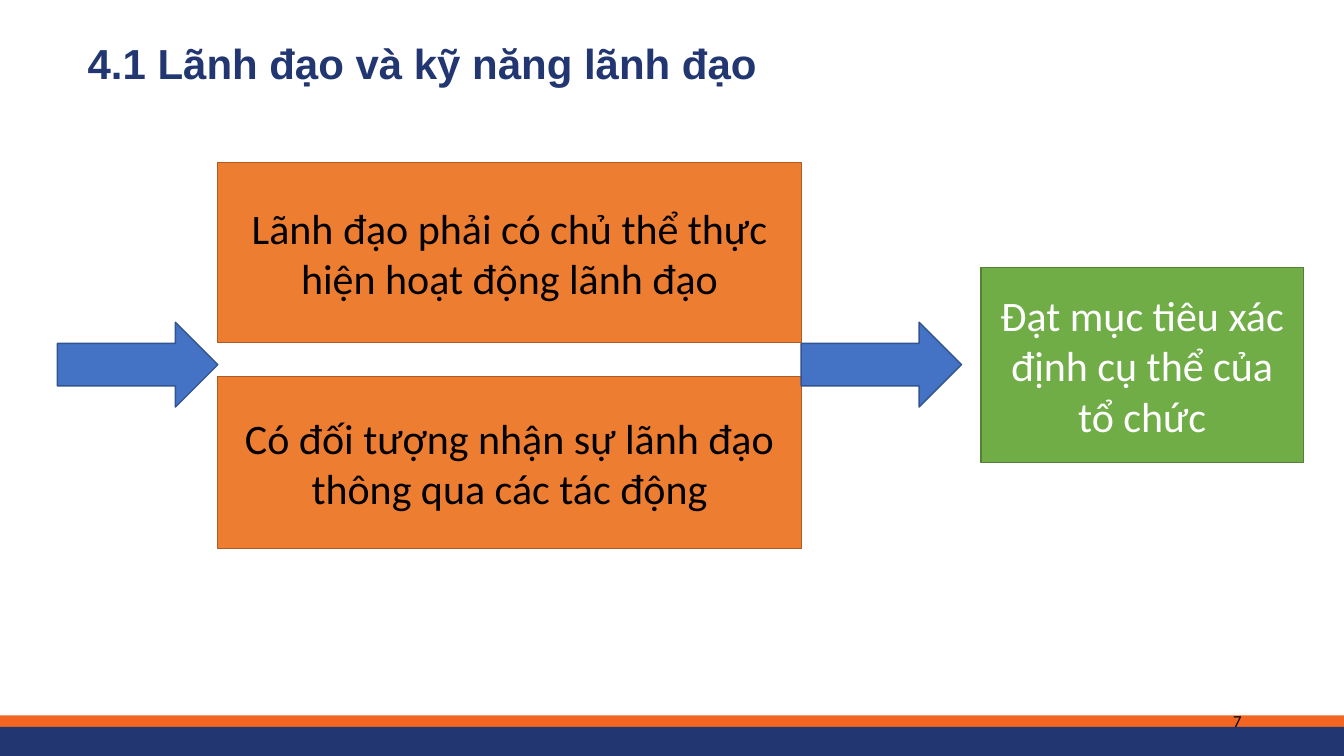
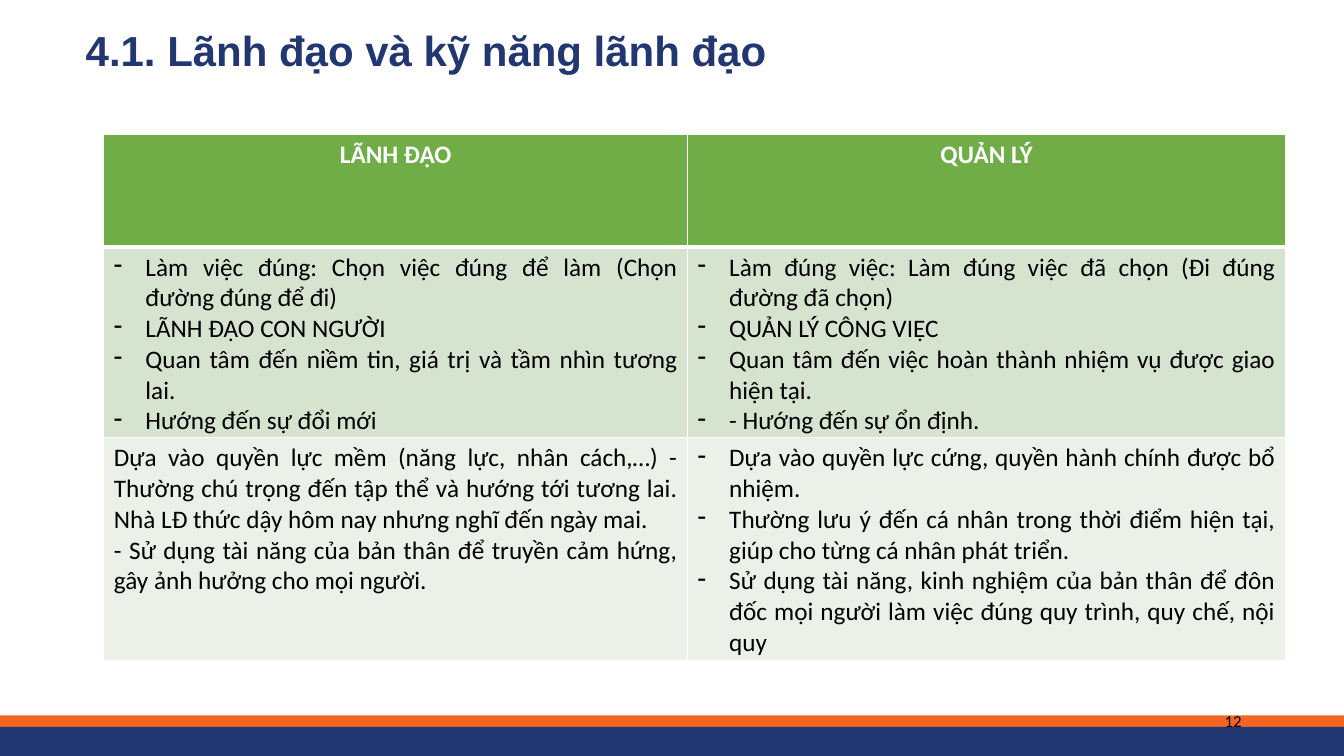
"""Build two slides on leadership: a flow diagram and a comparison table."""
from lxml import etree
from pptx import Presentation
from pptx.dml.color import RGBColor
from pptx.enum import shapes, text
from pptx.oxml import ns
from pptx.util import Pt

NAVY = RGBColor(0x22, 0x37, 0x71)
BAND_ORANGE = RGBColor(0xF2, 0x65, 0x22)
ORANGE = RGBColor(0xED, 0x7D, 0x31)
DARK_ORANGE = RGBColor(0xAF, 0x5C, 0x24)
BLUE = RGBColor(0x44, 0x72, 0xC4)
DARK_BLUE = RGBColor(0x32, 0x54, 0x91)
GREEN = RGBColor(0x70, 0xAD, 0x47)
DARK_GREEN = RGBColor(0x53, 0x80, 0x35)
PALE_GREEN = RGBColor(0xD5, 0xE3, 0xCF)
PALEST_GREEN = RGBColor(0xEB, 0xF1, 0xE9)
WHITE = RGBColor(0xFF, 0xFF, 0xFF)
BLACK = RGBColor(0, 0, 0)
RECTANGLE = shapes.MSO_SHAPE.RECTANGLE
ARROW = shapes.MSO_SHAPE.RIGHT_ARROW
ALIGN = text.PP_ALIGN


def style(paragraph, size, color, alignment, bold=False, name="Calibri"):
    paragraph.alignment = alignment
    font = paragraph.font
    font.name, font.size, font.bold = name, Pt(size), bold
    font.color.rgb = color


def add_block(slide, kind, box, fill, line=None):
    shape = slide.shapes.add_shape(kind, *map(Pt, box))
    shape.shadow.inherit = False
    shape.fill.solid()
    shape.fill.fore_color.rgb = fill
    if line is None:
        shape.line.fill.background()
    else:
        shape.line.color.rgb = line
        shape.line.width = Pt(1)
    return shape


presentation = Presentation()
presentation.slide_width, presentation.slide_height = Pt(960), Pt(540)
layout = presentation.slide_layouts[5]

slides = []
for title_text, title_box, number in (
    ("4.1 Lãnh đạo và kỹ năng lãnh đạo", (55.4, 27.4, 635, 72.7), "7"),
    ("4.1. Lãnh đạo và kỹ năng lãnh đạo", (54, 18, 551.5, 72.7), "12"),
):
    slide = presentation.slides.add_slide(layout)
    slides.append(slide)
    title = slide.shapes.title
    title.left, title.top, title.width, title.height = map(Pt, title_box)
    title.text_frame.text = title_text
    title.text_frame.vertical_anchor = text.MSO_ANCHOR.TOP
    title.text_frame.auto_size = text.MSO_AUTO_SIZE.NONE
    paragraph = title.text_frame.paragraphs[0]
    paragraph.line_spacing = 0.9
    style(paragraph, 30, NAVY, ALIGN.LEFT, True, "Arial")

    number_box = slide.shapes.add_textbox(Pt(678), Pt(500.5), Pt(216), Pt(28.8))
    number_box.text_frame.word_wrap = True
    number_box.text_frame.vertical_anchor = text.MSO_ANCHOR.MIDDLE
    number_box.text_frame.text = number
    style(number_box.text_frame.paragraphs[0], 12, BLACK, ALIGN.RIGHT)

flow, comparison = slides

for index, (top, height, fill) in enumerate(((511, 8.4, BAND_ORANGE), (519.2, 20.8, NAVY))):
    band = add_block(flow, RECTANGLE, (0, top, 960, height), fill)
    band.element.nvSpPr.cNvPr.set("id", str(101 + index))
    layout.shapes.element.insert(2 + index, band.element)

for kind, box, fill, line, color, words in (
    (ARROW, (41, 230.2, 114.6, 60.6), BLUE, DARK_BLUE, WHITE, ""),
    (RECTANGLE, (155.5, 116, 417, 128.7), ORANGE, DARK_ORANGE, BLACK,
     "Lãnh đạo phải có chủ thể thực hiện hoạt động lãnh đạo"),
    (RECTANGLE, (155.5, 268.8, 417, 123), ORANGE, DARK_ORANGE, BLACK,
     "Có đối tượng nhận sự lãnh đạo thông qua các tác động"),
    (ARROW, (572.2, 230.2, 114.6, 60.6), BLUE, DARK_BLUE, WHITE, ""),
    (RECTANGLE, (700.6, 191, 230.6, 139.2), GREEN, DARK_GREEN, WHITE,
     "Đạt mục tiêu xác định cụ thể của tổ chức"),
):
    shape = add_block(flow, kind, box, fill, line)
    if words:
        shape.text_frame.word_wrap = True
        shape.text_frame.vertical_anchor = text.MSO_ANCHOR.MIDDLE
        shape.text_frame.text = words
        style(shape.text_frame.paragraphs[0], 30, color, ALIGN.CENTER)

table_rows = (
    (80.6, GREEN, (("LÃNH ĐẠO",), ("QUẢN LÝ",))),
    (136.4, PALE_GREEN, (
        ("Làm việc đúng: Chọn việc đúng để làm (Chọn đường đúng để đi)",
         "LÃNH ĐẠO CON NGƯỜI",
         "Quan tâm đến niềm tin, giá trị và tầm nhìn tương lai.",
         "Hướng đến sự đổi mới"),
        ("Làm đúng việc: Làm đúng việc đã chọn (Đi đúng đường đã chọn)",
         "QUẢN LÝ CÔNG VIỆC",
         "Quan tâm đến việc hoàn thành nhiệm vụ được giao hiện tại.",
         "- Hướng đến sự ổn định."))),
    (158.8, PALEST_GREEN, (
        ("Dựa vào quyền lực mềm (năng lực, nhân cách,…) - Thường chú trọng đến tập thể "
         "và hướng tới tương lai. Nhà LĐ thức dậy hôm nay nhưng nghĩ đến ngày mai.",
         "- Sử dụng tài năng của bản thân để truyền cảm hứng, gây ảnh hưởng cho mọi người."),
        ("Dựa vào quyền lực cứng, quyền hành chính được bổ nhiệm.",
         "Thường lưu ý đến cá nhân trong thời điểm hiện tại, giúp cho từng cá nhân phát triển.",
         "Sử dụng tài năng, kinh nghiệm của bản thân để đôn đốc mọi người làm việc đúng "
         "quy trình, quy chế, nội quy"))),
)
table = comparison.shapes.add_table(3, 2, Pt(74.2), Pt(95.8), Pt(844), Pt(375.8)).table
table.columns[0].width, table.columns[1].width = Pt(417), Pt(427)

for row, (height, fill, contents) in enumerate(table_rows):
    table.rows[row].height = Pt(height)
    for column, lines in enumerate(contents):
        cell = table.cell(row, column)
        cell.margin_bottom = 0
        cell.fill.solid()
        cell.fill.fore_color.rgb = fill
        properties = cell._tc.get_or_add_tcPr()
        for position, side in enumerate("LRTB"):
            heavy = (row, side) in ((0, "B"), (1, "T"))
            border = etree.Element(ns.qn(f"a:ln{side}"), w=str(Pt(3 if heavy else 1)))
            solid = etree.SubElement(border, ns.qn("a:solidFill"))
            etree.SubElement(solid, ns.qn("a:srgbClr"), val=str(WHITE))
            properties.insert(position, border)

        header = row == 0
        bulleted = not header and (row, column) != (2, 0)
        for index, words in enumerate(lines):
            frame = cell.text_frame
            paragraph = frame.paragraphs[0] if index == 0 else frame.add_paragraph()
            paragraph.text = words
            if bulleted:
                indent = Pt(22.5)
                paragraph_properties = paragraph._p.get_or_add_pPr()
                paragraph_properties.set("marL", str(indent))
                paragraph_properties.set("indent", str(-indent))
                etree.SubElement(paragraph_properties, ns.qn("a:buChar"), char="-")
            style(paragraph, 18, WHITE if header else BLACK,
                  ALIGN.CENTER if header else ALIGN.JUSTIFY, header)

presentation.save("out.pptx")
